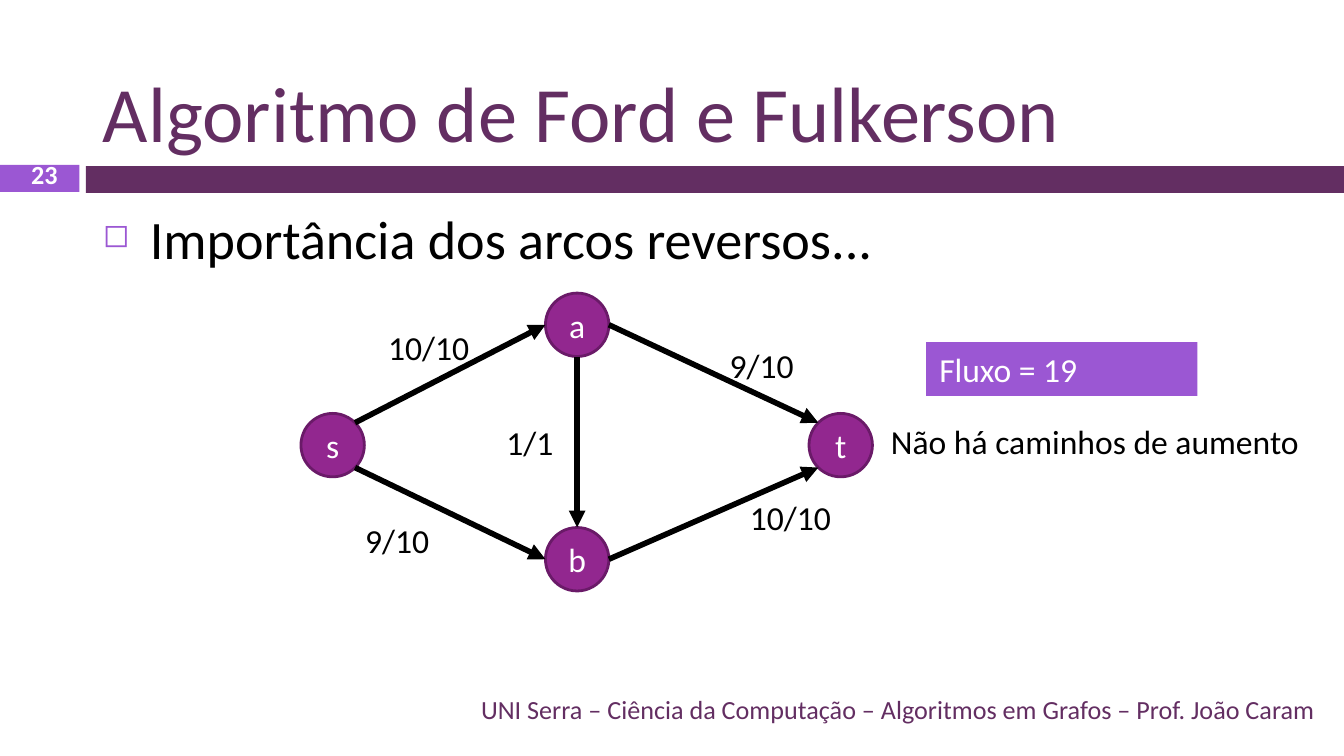
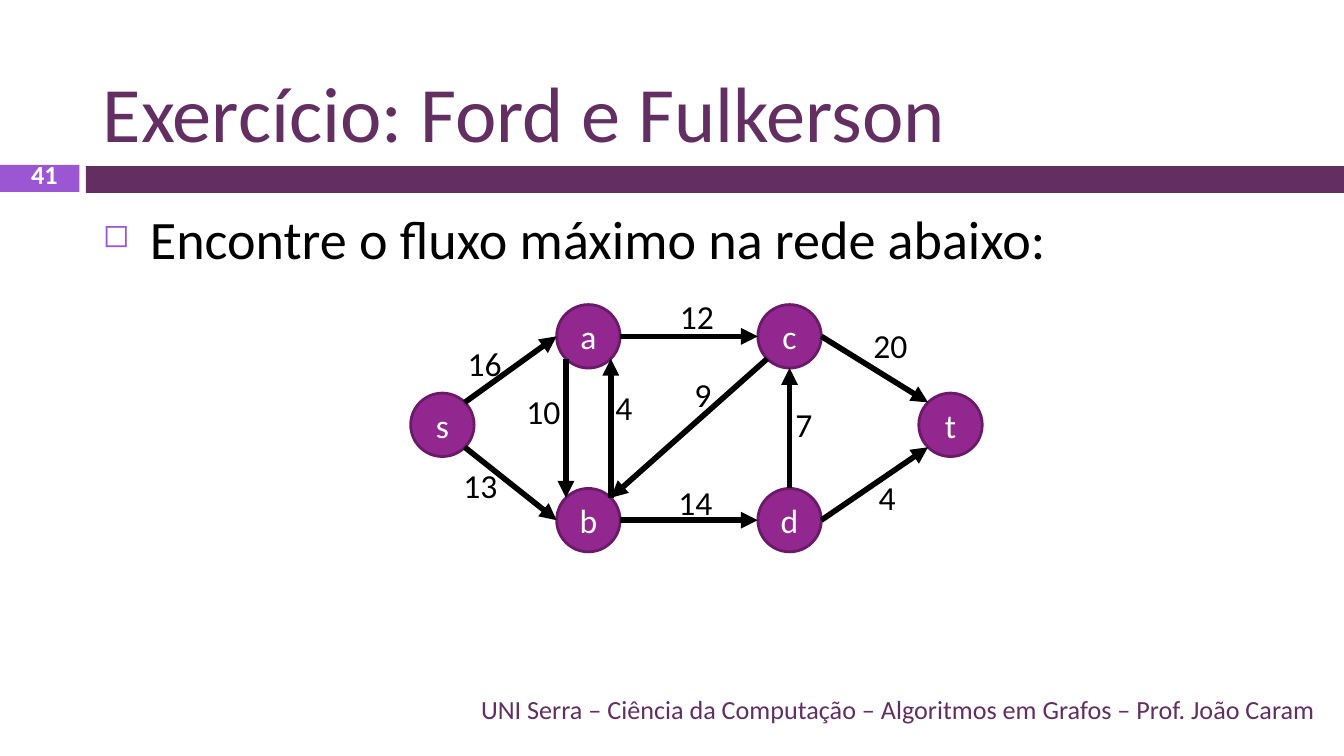
import math
from dataclasses import dataclass

from lxml import etree
from pptx import Presentation
from pptx import util as u
from pptx.dml.color import RGBColor
from pptx.enum import shapes, text
from pptx.oxml import ns

FOOTER = "UNI Serra – Ciência da Computação – Algoritmos em Grafos – Prof. João Caram"

SLIDES = [
    dict(
        number="23",
        title="Algoritmo de Ford e Fulkerson",
        bullet="Importância dos arcos reversos...",
        nodes=dict(s=(178.2, 238.5), a=(309.2, 174), b=(309.2, 299.6), t=(450.4, 238.5)),
        arcs=[
            ("s", "NE", "a", "W", "10/10", (200.9, 171.4)),
            ("s", "SE", "b", "W", "9/10", (188.6, 275)),
            ("a", "E", "t", "NW", "9/10", (383.8, 181.4)),
            ("b", "E", "t", "SW", "10/10", (394.6, 262.8)),
            ("a", "S", "b", "N", "1/1", (264.2, 222.5)),
        ],
        result="Fluxo = 19",
        remark="Não há caminhos de aumento",
    ),
    dict(
        number="41",
        title="Exercício: Ford e Fulkerson",
        bullet="Encontre o fluxo máximo na rede abaixo:",
        nodes=dict(s=(237, 227.6), a=(315.2, 180.2), b=(315.2, 278.7),
                   c=(423, 180.2), d=(423, 278.7), t=(509.2, 227.6)),
        arcs=[
            ("s", "NE", "a", "W", "16", (243.4, 180)),
            ("s", "SE", "b", "W", "13", (241.2, 245.5)),
            ("a", "E", "c", "W", "12", (357.1, 154.8)),
            ("c", "E", "t", "NW", "20", (460.8, 170.6)),
            ("d", "E", "t", "SW", "4", (463.7, 252)),
            ("b", "E", "d", "W", "14", (356.4, 254.9)),
            ("c", "SW", "b", "NE", "9", (365, 196.6)),
            ("d", "N", "c", "S", "7", (419, 213.1)),
            ("a", "SW", "b", "NW", "10", (275, 205.9)),
            ("b", "NE", "a", "SE", "4", (322.6, 203.8)),
        ],
    ),
]


@dataclass(frozen=True)
class Theme:
    font: str = "Calibri"
    plum: str = "632E62"
    violet: str = "9B57D3"
    node: str = "92278F"
    node_line: str = "6A1A68"
    ink: str = "000000"
    paper: str = "FFFFFF"
    title: int = 42
    body: int = 29
    label: int = 18
    small: int = 14
    node_width: float = 1.5
    arc_width: float = 3


T = Theme()
WIDTH, HEIGHT = 720, 405
MARGIN, CONTENT_WIDTH = 48, 663.8
NODE_SIZE = 34
LABEL_HEIGHT = 28.8
PADDING, DIGIT_WIDTH, SLASH_WIDTH = 15, 9.2, 7
COMPASS = dict(zip(("E", "SE", "S", "SW", "W", "NW", "N", "NE"), range(0, 360, 45)))

LEFT, CENTER, RIGHT = text.PP_ALIGN.LEFT, text.PP_ALIGN.CENTER, text.PP_ALIGN.RIGHT
TOP, MIDDLE, BOTTOM = text.MSO_ANCHOR.TOP, text.MSO_ANCHOR.MIDDLE, text.MSO_ANCHOR.BOTTOM


def rgb(color):
    return RGBColor.from_string(color)


def pts(*values):
    return [u.Pt(v) for v in values]


def write(sp, words, size, color, align=LEFT, anchor=TOP, bold=False, wrap=True):
    tf = sp.text_frame
    tf.word_wrap = wrap
    tf.vertical_anchor = anchor
    p = tf.paragraphs[0]
    p.alignment = align
    r = p.add_run()
    r.text = words
    r.font.name = T.font
    r.font.size = u.Pt(size)
    r.font.bold = bold
    r.font.color.rgb = rgb(color)
    return p


def add_text(s, box, *args, **kwargs):
    return write(s.shapes.add_textbox(*pts(*box)), *args, **kwargs)


def add_filled(s, kind, box, fill, line=None):
    sp = s.shapes.add_shape(kind, *pts(*box))
    sp.shadow.inherit = False
    sp.fill.solid()
    sp.fill.fore_color.rgb = rgb(fill)
    if line:
        sp.line.color.rgb = rgb(line)
        sp.line.width = u.Pt(T.node_width)
    else:
        sp.line.fill.background()
    return sp


def add_bullet(p):
    p.space_before = u.Pt(7)
    pPr = p._p.get_or_add_pPr()
    pPr.set("marL", str(u.Pt(25.2)))
    pPr.set("indent", str(-u.Pt(25.2)))
    color = etree.SubElement(pPr, ns.qn("a:buClr"))
    etree.SubElement(color, ns.qn("a:srgbClr"), val=T.violet)
    etree.SubElement(pPr, ns.qn("a:buSzPct"), val="60000")
    etree.SubElement(pPr, ns.qn("a:buChar"), char="◻")


def add_frame(s, content):
    rect = shapes.MSO_SHAPE.RECTANGLE
    add_filled(s, rect, (46, 89, WIDTH - 46, 14.4), T.plum)
    add_filled(s, rect, (0, 88.4, 42.6, 14.4), T.violet)
    add_text(s, (MARGIN, 9, CONTENT_WIDTH, 79.2), content["title"], T.title, T.plum,
             anchor=BOTTOM)
    add_bullet(add_text(s, (MARGIN, 106.4, CONTENT_WIDTH, 257.8), content["bullet"],
                        T.body, T.ink))
    add_text(s, (2.9, 86, 41.8, 14.4), content["number"], T.small, T.paper,
             CENTER, MIDDLE, bold=True)
    add_text(s, (MARGIN, 369, CONTENT_WIDTH, 21.6), FOOTER, T.small, T.plum,
             RIGHT, MIDDLE)


def port(center, direction):
    angle = math.radians(COMPASS[direction])
    x, y = center
    return x + NODE_SIZE / 2 * math.cos(angle), y + NODE_SIZE / 2 * math.sin(angle)


def add_arc(s, start, end):
    c = s.shapes.add_connector(shapes.MSO_CONNECTOR.STRAIGHT, *pts(*start, *end))
    c.line.color.rgb = rgb(T.ink)
    c.line.width = u.Pt(T.arc_width)
    etree.SubElement(c.line._get_or_add_ln(), ns.qn("a:tailEnd"), type="triangle")
    etree.SubElement(c._element.spPr, ns.qn("a:effectLst"))


def add_network(s, nodes, arcs):
    for name, (x, y) in nodes.items():
        box = (x - NODE_SIZE / 2, y - NODE_SIZE / 2, NODE_SIZE, NODE_SIZE)
        sp = add_filled(s, shapes.MSO_SHAPE.OVAL, box, T.node, T.node_line)
        write(sp, name, T.label, T.paper, CENTER, MIDDLE)
    for source, leave, target, enter, *_ in arcs:
        add_arc(s, port(nodes[source], leave), port(nodes[target], enter))
    for *_, label, corner in arcs:
        slashes = label.count("/")
        width = PADDING + DIGIT_WIDTH * (len(label) - slashes) + SLASH_WIDTH * slashes
        add_text(s, (*corner, width, LABEL_HEIGHT), label, T.label, T.ink, wrap=False)


def add_outcome(s, result, remark):
    sp = add_filled(s, shapes.MSO_SHAPE.RECTANGLE, (496.1, 183.3, 145.4, LABEL_HEIGHT),
                    T.violet)
    write(sp, result, T.label, T.paper)
    add_text(s, (470.2, 221.8, 240, LABEL_HEIGHT), remark, T.label, T.ink, wrap=False)


def main():
    prs = Presentation()
    prs.slide_width, prs.slide_height = pts(WIDTH, HEIGHT)
    for content in SLIDES:
        s = prs.slides.add_slide(prs.slide_layouts[6])
        add_frame(s, content)
        add_network(s, content["nodes"], content["arcs"])
        if "result" in content:
            add_outcome(s, content["result"], content["remark"])
    prs.save("out.pptx")


if __name__ == "__main__":
    main()
